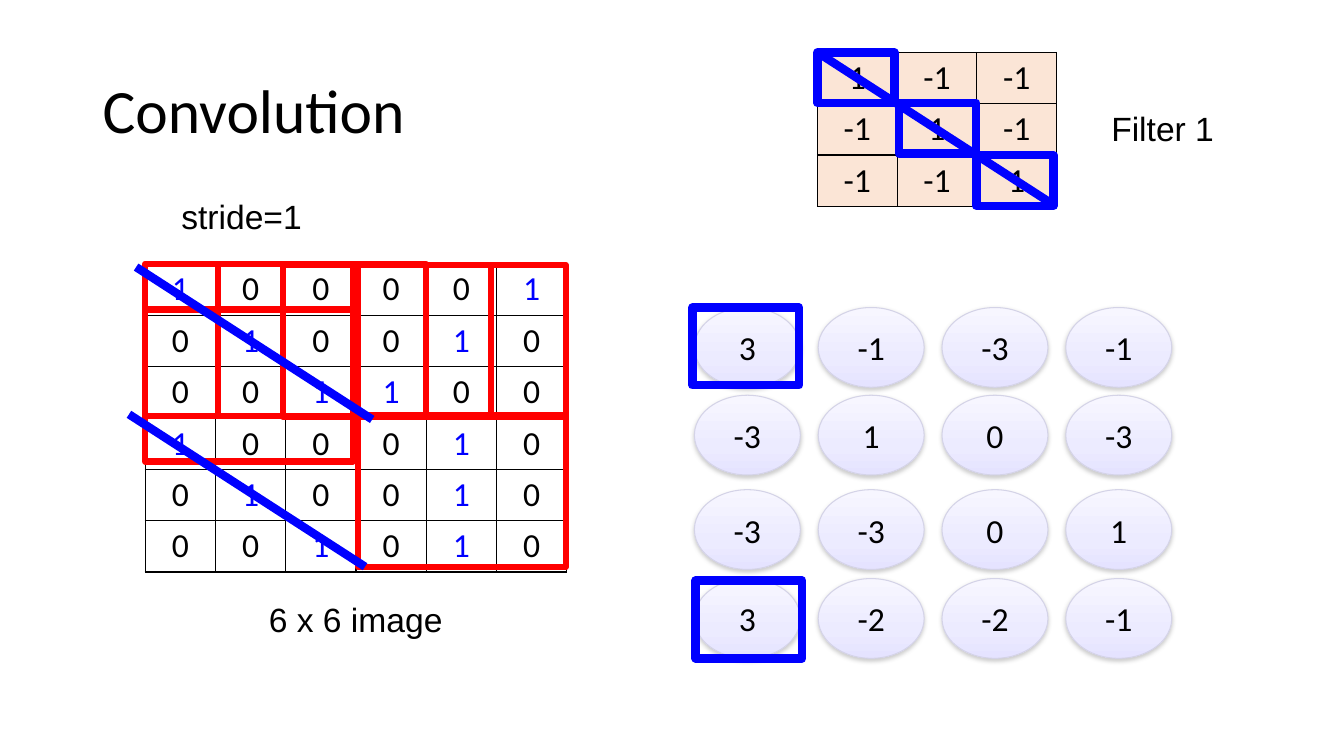
from lxml import etree
from pptx import Presentation
from pptx.dml.color import RGBColor
from pptx.enum import shapes, text
from pptx.oxml import ns
from pptx.util import Cm, Pt

BLACK = RGBColor(0, 0, 0)
BLUE = RGBColor(0, 0, 255)
RED = RGBColor(255, 0, 0)
PEACH = RGBColor(0xFB, 0xE5, 0xD6)
EDGE = RGBColor(0xD4, 0xD3, 0xE7)
SHADE = RGBColor(0x80, 0x80, 0x80)
GLOW = [
    (0, RGBColor(0xF7, 0xF6, 0xFF)),
    (65, RGBColor(0xEC, 0xEB, 0xFF)),
    (100, RGBColor(0xE5, 0xE3, 0xFF)),
]
MID = text.PP_ALIGN.CENTER


def style(frame, words, font="Calibri", size=24, color=BLACK, align=MID):
    frame.text = words
    para = frame.paragraphs[0]
    para.alignment = align
    face = para.runs[0].font
    face.name, face.size, face.color.rgb = font, Pt(size), color


def add_sub(parent, tag, **attrs):
    """Append a DrawingML child element and return it."""
    child = etree.SubElement(parent, ns.qn("a:" + tag))
    for key, val in attrs.items():
        child.set(key, str(val))
    return child


deck = Presentation()
deck.slide_width, deck.slide_height = Cm(33.87), Cm(19.05)
slide = deck.slides.add_slide(deck.slide_layouts[5])

title = slide.shapes.title
title.left, title.top = Cm(2.33), Cm(1.01)
title.width, title.height = Cm(29.21), Cm(3.68)
style(title.text_frame, "Convolution", size=44, align=text.PP_ALIGN.LEFT)
title.text_frame.vertical_anchor = text.MSO_ANCHOR.MIDDLE
title.text_frame.paragraphs[0].line_spacing = 0.9

# Image and filter matrices
image = ["100001", "010010", "001100", "100010", "010010", "001010"]
kernel = [[1, -1, -1], [-1, 1, -1], [-1, -1, 1]]
ROW = 1.29
for left, top, col, grid, fill, one in [
    (3.66, 6.65, 1.77, image, None, BLUE),
    (20.6, 1.32, 2.01, kernel, PEACH, BLACK),
]:
    count = len(grid)
    table = slide.shapes.add_table(
        count, count, Cm(left), Cm(top), Cm(col * count), Cm(ROW * count)
    ).table
    table.first_row = table.horz_banding = False
    for n in range(count):
        table.columns[n].width = Cm(col)
        table.rows[n].height = Cm(ROW)
    for r, line in enumerate(grid):
        for c, value in enumerate(line):
            cell = table.cell(r, c)
            cell.margin_left = cell.margin_right = Cm(0.33)
            cell.margin_top = cell.margin_bottom = Cm(0.13)
            word = str(value)
            style(cell.text_frame, word, color=one if word == "1" else BLACK)
            props = cell._tc.get_or_add_tcPr()
            for side in ("lnL", "lnR", "lnT", "lnB"):
                border = add_sub(props, side, w=Pt(1))
                add_sub(add_sub(border, "solidFill"), "srgbClr", val=BLACK)
            if fill is None:
                cell.fill.background()
            else:
                cell.fill.solid()
                cell.fill.fore_color.rgb = fill

# Captions
for words, left, top, width, wrap in [
    ("6 x 6 image", 4.62, 14.96, 8.69, True),
    ("Filter 1", 26.62, 2.59, 5.36, True),
    ("stride=1", 4.32, 4.8, 3.58, False),
]:
    box = slide.shapes.add_textbox(Cm(left), Cm(top), Cm(width), Cm(1.27))
    box.text_frame.word_wrap = wrap
    style(box.text_frame, words, font="Arial",
          align=MID if wrap else text.PP_ALIGN.LEFT)

# Feature map
result = [
    (7.75, [3, -1, -3, -1]),
    (9.96, [-3, 1, 0, -3]),
    (12.34, [-3, -3, 0, 1]),
    (14.58, [3, -2, -2, -1]),
]
for top, values in result:
    for c, value in enumerate(values):
        oval = slide.shapes.add_shape(
            shapes.MSO_SHAPE.OVAL, Cm(17.5 + 3.12 * c), Cm(top), Cm(2.67), Cm(2.01)
        )
        style(oval.text_frame, str(value))
        oval.text_frame.vertical_anchor = text.MSO_ANCHOR.MIDDLE
        oval.line.color.rgb, oval.line.width = EDGE, Pt(0.75)
        oval.fill.gradient()
        oval.fill.gradient_angle = 270
        props = oval._element.spPr
        stops = props.find(".//" + ns.qn("a:gsLst"))
        for old in list(stops):
            stops.remove(old)
        for pos, color in GLOW:
            add_sub(add_sub(stops, "gs", pos=pos * 1000), "srgbClr", val=color)
        oval.shadow.inherit = False
        shadow = add_sub(props.find(ns.qn("a:effectLst")), "outerShdw",
                         blurRad=Pt(3.1), dist=Pt(1.6), dir=5400000, rotWithShape=0)
        add_sub(add_sub(shadow, "srgbClr", val=SHADE), "alpha", val=38000)

# Frames: image windows, filter diagonal, matching results
windows = [(3.66, 6.65), (5.49, 6.65), (7.14, 6.68), (9.02, 6.68),
           (3.66, 7.8), (9.02, 10.46)]
ones = [(20.6, 1.32), (22.66, 2.59), (24.61, 3.91)]
peaks = [(17.45, 7.75), (17.53, 14.63)]
for spots, width, height, color, weight in [
    (windows, 5.24, 3.83, RED, 4.5),
    (ones, 1.94, 1.28, BLUE, 6),
    (peaks, 2.69, 1.96, BLUE, 6),
]:
    for left, top in spots:
        frame = slide.shapes.add_shape(
            shapes.MSO_SHAPE.RECTANGLE, Cm(left), Cm(top), Cm(width), Cm(height)
        )
        frame.fill.background()
        frame.line.color.rgb, frame.line.width = color, Pt(weight)
        frame.shadow.inherit = False

# Diagonals
for left, top in [(20.6, 1.32), (3.43, 6.73), (3.25, 10.44)]:
    slash = slide.shapes.add_connector(
        shapes.MSO_CONNECTOR.STRAIGHT,
        Cm(left), Cm(top), Cm(left + 5.95), Cm(top + 3.84),
    )
    slash.line.color.rgb, slash.line.width = BLUE, Pt(6)
    add_sub(slash._element.spPr, "effectLst")

deck.save("out.pptx")
